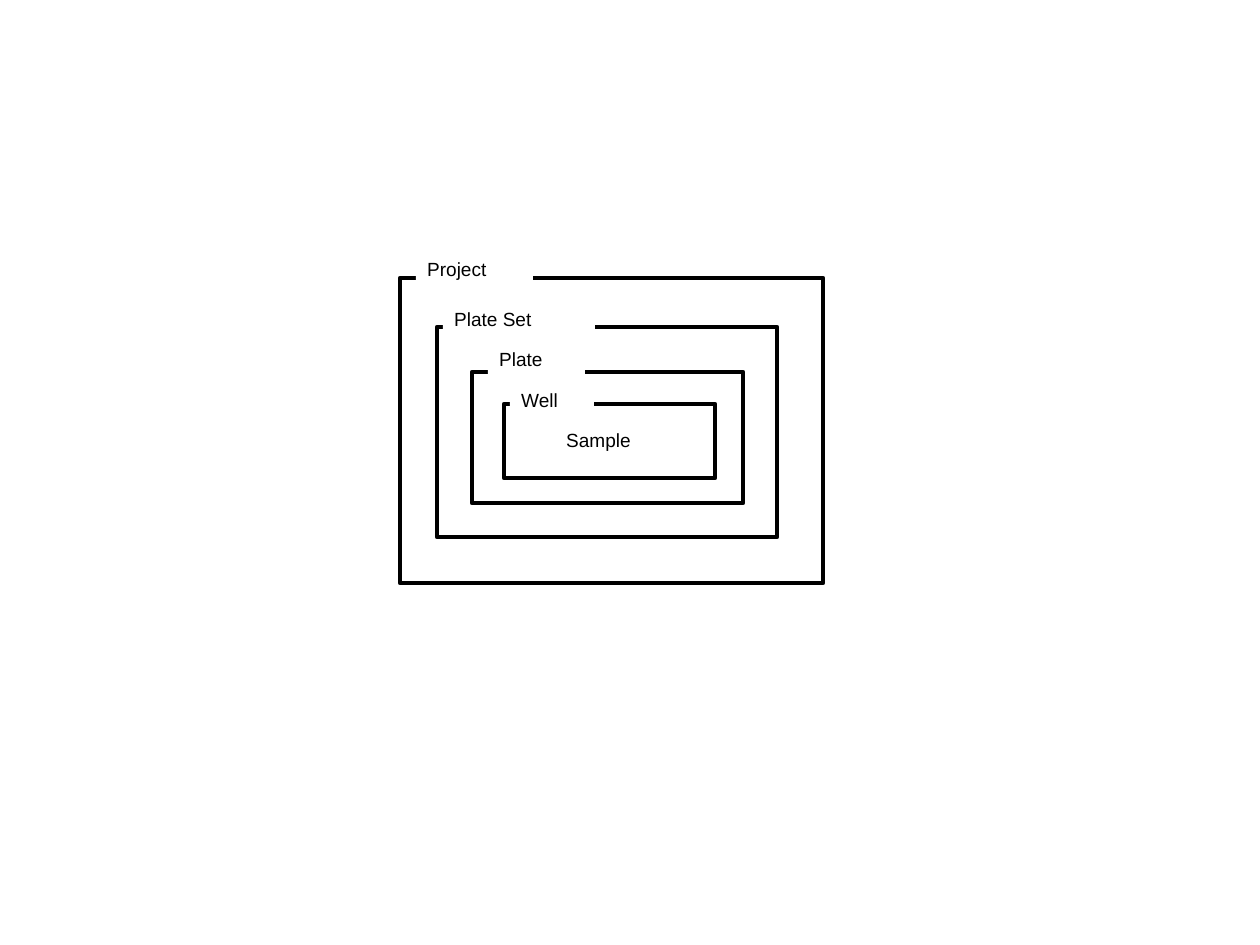
from dataclasses import dataclass

from pptx import Presentation
from pptx.dml.color import RGBColor
from pptx.enum.shapes import MSO_SHAPE
from pptx.enum.text import MSO_ANCHOR, MSO_AUTO_SIZE
from pptx.slide import Slide
from pptx.util import Emu, Pt

RECT = MSO_SHAPE.RECTANGLE
TOP = MSO_ANCHOR.TOP
FIXED = MSO_AUTO_SIZE.NONE
SCALE = 8000
BLACK = "000000"
WHITE = "FFFFFF"
FONT = {"name": "Arial", "size": Pt(12)}
FRAME = {"word_wrap": True, "auto_size": FIXED, "vertical_anchor": TOP}


@dataclass(frozen=True)
class Box:
    left: int
    top: int
    width: int
    height: int

    def emu(self) -> list[Emu]:
        return [px(n) for n in (self.left, self.top, self.width, self.height)]


@dataclass(frozen=True)
class Label:
    text: str
    box: Box


@dataclass(frozen=True)
class Level:
    frame: Box
    labels: tuple[Label, ...]


LEVELS = (
    Level(Box(504, 404, 211, 74), (
        Label("Sample", Box(555, 423, 119, 46)),
        Label("Well", Box(510, 383, 84, 46)),
    )),
    Level(Box(472, 372, 271, 131), (Label("Plate", Box(488, 342, 97, 46)),)),
    Level(Box(437, 327, 340, 210), (Label("Plate Set", Box(443, 302, 152, 43)),)),
    Level(Box(400, 278, 423, 305), (Label("Project", Box(416, 252, 117, 43)),)),
)


def px(count: int) -> Emu:
    return Emu(count * SCALE)


def color(value: str) -> RGBColor:
    return RGBColor.from_string(value)


def assign(target: object, values: dict[str, object]) -> None:
    for name, value in values.items():
        setattr(target, name, value)


def draw_frame(slide: Slide, box: Box) -> None:
    shape = slide.shapes.add_shape(RECT, *box.emu())
    shape.shadow.inherit = False
    shape.fill.background()
    shape.line.color.rgb = color(BLACK)
    shape.line.width = Pt(2.89)


def draw_label(slide: Slide, label: Label) -> None:
    shape = slide.shapes.add_textbox(*label.box.emu())
    shape.fill.solid()
    shape.fill.fore_color.rgb = color(WHITE)
    assign(shape.text_frame, FRAME)
    run = shape.text_frame.paragraphs[0].add_run()
    run.text = label.text
    assign(run.font, FONT)
    run.font.color.rgb = color(BLACK)


def main() -> None:
    deck = Presentation()
    deck.slide_width = px(1260)
    deck.slide_height = px(945)
    slide = deck.slides.add_slide(deck.slide_layouts[6])
    for level in LEVELS:
        draw_frame(slide, level.frame)
        for label in level.labels:
            draw_label(slide, label)
    deck.save("out.pptx")


if __name__ == "__main__":
    main()
